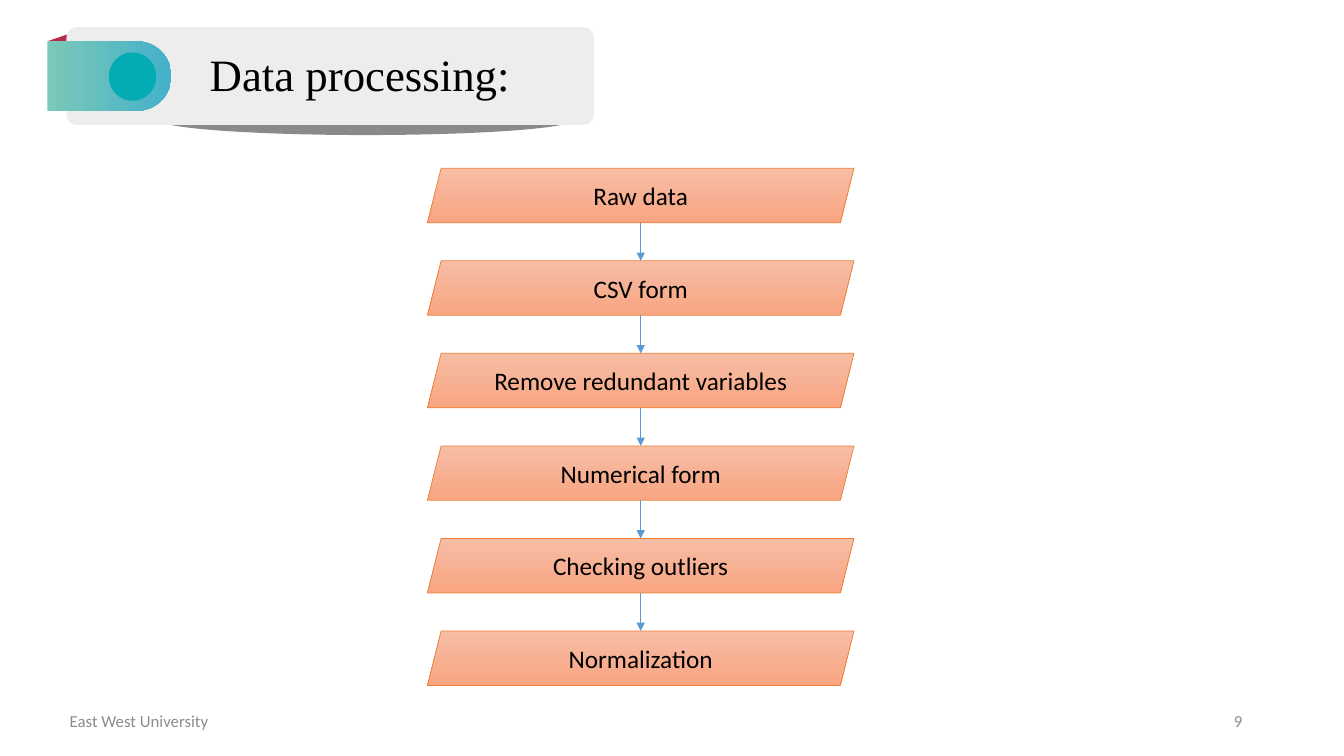
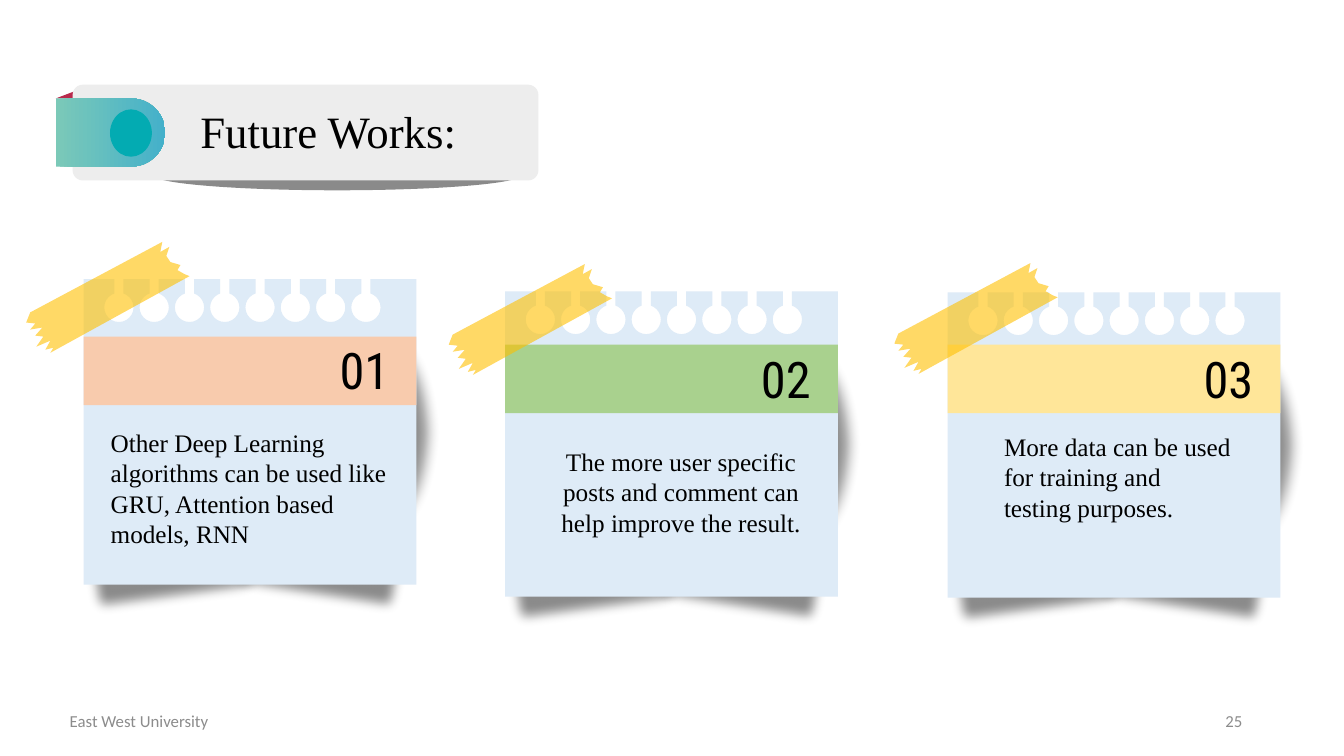
import math

import pptx
import pptx.dml.color
import pptx.enum.shapes
import pptx.enum.text
import pptx.oxml
import pptx.oxml.ns
import pptx.util

Inches = pptx.util.Inches
SHAPE = pptx.enum.shapes.MSO_SHAPE
ALIGN = pptx.enum.text.PP_ALIGN
ANCHOR = pptx.enum.text.MSO_ANCHOR

INK, PLATE, RIBBON, DOT = "000000", "EDEDED", "B82A4C", "03ABB2"
TAB_BLEND = ("7BC9B8", "44B0CA")
STEP_BLEND, STEP_EDGE, ARROW = ("F7BDA5", "F8A582"), "ED7D31", "5B9BD5"
NOTE, TAPE, FOOTER = "DEEBF7", "FFC000", "8C8C8C"
SHADOW_OPACITY, TAPE_OPACITY = 46, 60
HOLES, HOLE_PITCH, HOLE_RADIUS, HOLE_DEPTH, HALF_NECK = 8, 0.35, 0.145, 0.28, 0.045

FORMATS = {
    "title": {"name": "Times New Roman", "size": pptx.util.Pt(32), "bold": False},
    "step": {"name": "Calibri", "size": pptx.util.Pt(18)},
    "number": {"name": "Roboto Condensed", "size": pptx.util.Pt(36)},
    "body": {"name": "Times New Roman", "size": pptx.util.Pt(18)},
    "footer": {"name": "Calibri", "size": pptx.util.Pt(12)},
}

STEPS = ["Raw data", "CSV form", "Remove redundant variables",
         "Numerical form", "Checking outliers", "Normalization"]

NOTES = [
    {"at": (0.83, 2.77), "band_top": 0.57, "band": "F8CBAD", "number": "01",
     "tape": (-0.57, -0.37), "body": (0.17, 1.42, 3.04, 1.31), "align": ALIGN.LEFT,
     "text": "Other Deep Learning algorithms can be used like GRU, "
             "Attention based models, RNN"},
    {"at": (5.01, 2.89), "band_top": 0.53, "band": "A9D18E", "number": "02",
     "tape": (-0.56, -0.27), "body": (0.33, 1.49, 2.83, 1.01), "align": ALIGN.CENTER,
     "text": "The more user specific\nposts and comment can help improve the result."},
    {"at": (9.4, 2.9), "band_top": 0.52, "band": "FFE699", "number": "03",
     "tape": (-0.53, -0.29), "body": (0.46, 1.33, 2.47, 1.31), "align": ALIGN.LEFT,
     "text": "More data can be used for training and testing purposes."},
]

TAPE_OUTLINE = [
    (0.04, 0.7), (1.35, 0), (1.33, 0.1), (1.42, 0.05), (1.39, 0.14), (1.43, 0.2),
    (1.53, 0.23), (1.5, 0.28), (1.57, 0.32), (1.62, 0.34), (0.24, 1.1), (0.27, 1.05),
    (0.19, 1.07), (0.24, 0.98), (0.1, 1.04), (0.17, 0.94), (0.09, 0.93), (0.16, 0.85),
    (0.04, 0.87), (0.09, 0.81), (0, 0.8),
]


def color(hex_value):
    return pptx.dml.color.RGBColor.from_string(hex_value)


def add_xml(parent, tag, **attributes):
    child = parent.makeelement(pptx.oxml.ns.qn(tag), attributes)
    parent.append(child)
    return child


def paint(shape, fill, opacity=100, angle=0, edge=None, soft=0):
    shape.shadow.inherit = False
    if isinstance(fill, tuple):
        shape.fill.gradient()
        shape.fill.gradient_angle = angle
        for stop, shade in zip(shape.fill.gradient_stops, fill):
            stop.color.rgb = color(shade)
    else:
        shape.fill.solid()
        shape.fill.fore_color.rgb = color(fill)
    if edge:
        shape.line.color.rgb = color(edge)
        shape.line.width = pptx.util.Pt(0.5)
    else:
        shape.line.fill.background()
    properties = shape.element.spPr
    if opacity < 100:
        solid = properties.find(pptx.oxml.ns.qn("a:solidFill"))
        add_xml(solid[0], "a:alpha", val=str(opacity * 1000))
    if soft:
        effects = properties.find(pptx.oxml.ns.qn("a:effectLst"))
        add_xml(effects, "a:softEdge", rad=str(Inches(soft)))
    return shape


def add_part(slide, kind, box, fill, rotation=0, **look):
    part = slide.shapes.add_shape(kind, *map(Inches, box))
    part.rotation = rotation
    return paint(part, fill, **look)


def add_outline(slide, left, top, points, fill, opacity=100):
    corners = [(Inches(left + x), Inches(top + y)) for x, y in points]
    builder = slide.shapes.build_freeform(*corners[0])
    builder.add_line_segments(corners[1:], close=True)
    return paint(builder.convert_to_shape(), fill, opacity)


def write(holder, text, style, align, anchor=ANCHOR.TOP, ink=INK):
    frame = holder.text_frame
    frame_format = {"word_wrap": True, "vertical_anchor": anchor,
                    "auto_size": pptx.enum.text.MSO_AUTO_SIZE.NONE,
                    "margin_left": Inches(0.1), "margin_right": Inches(0.1),
                    "margin_top": Inches(0.05), "margin_bottom": Inches(0.05)}
    for name, value in frame_format.items():
        setattr(frame, name, value)
    paragraph = frame.paragraphs[0]
    paragraph.text = text
    paragraph.alignment = align
    for run in paragraph.runs:
        for name, value in FORMATS[style].items():
            setattr(run.font, name, value)
        run.font.color.rgb = color(ink)


def add_label(slide, box, text, style, align, **look):
    write(slide.shapes.add_textbox(*map(Inches, box)), text, style, align, **look)


def add_header(slide, text, left, top, width, height):
    across, down = width / 5.23, height / 0.97

    def place(x, y, w, h):
        return left + x * across, top + y * down, w * across, h * down

    add_part(slide, SHAPE.OVAL, place(0.9, 0.76, 4.14, 0.31), INK,
             opacity=SHADOW_OPACITY)
    ribbon = add_part(slide, SHAPE.RIGHT_TRIANGLE, place(-0.19, 0.04, 0.29, 0.1), RIBBON)
    ribbon.element.spPr.xfrm.set("flipH", "1")
    plate = add_part(slide, SHAPE.ROUNDED_RECTANGLE, (left, top, width, height), PLATE)
    plate.adjustments[0] = 0.107
    x, y, w, h = place(-0.19, 0.14, 1.23, 0.69)
    tab = add_part(slide, SHAPE.ROUND_2_SAME_RECTANGLE,
                   (x + (w - h) / 2, y + (h - w) / 2, h, w), TAB_BLEND,
                   rotation=90, angle=90)
    tab.adjustments[0] = 0.5
    add_part(slide, SHAPE.OVAL, place(0.42, 0.25, 0.47, 0.48), DOT)
    title = slide.shapes.title
    title.left, title.top, title.width, title.height = map(
        Inches, place(1.32, 0.14, 3.74, 0.64))
    write(title, text, "title", ALIGN.LEFT)
    title.element.getparent().append(title.element)


def add_footer(slide, number):
    for box, text, align in [((0.58, 6.95, 1.6, 0.4), "East West University", ALIGN.CENTER),
                             ((9.42, 6.95, 3, 0.4), number, ALIGN.RIGHT)]:
        add_label(slide, box, text, "footer", align, anchor=ANCHOR.MIDDLE, ink=FOOTER)


def add_arrow(slide, x, start, end):
    arrow = slide.shapes.add_connector(
        pptx.enum.shapes.MSO_CONNECTOR.STRAIGHT, *map(Inches, (x, start, x, end)))
    arrow.line.color.rgb = color(ARROW)
    arrow.line.width = pptx.util.Pt(0.5)
    properties = arrow.element.spPr
    add_xml(properties.find(pptx.oxml.ns.qn("a:ln")), "a:tailEnd", type="triangle")
    add_xml(properties, "a:effectLst")


def add_flow(slide, left, top, width, height):
    step_height = 0.54
    pitch = (height - step_height) / (len(STEPS) - 1)
    for index, text in enumerate(STEPS):
        y = top + index * pitch
        step = add_part(slide, SHAPE.PARALLELOGRAM, (left, y, width, step_height),
                        STEP_BLEND, angle=270, edge=STEP_EDGE)
        write(step, text, "step", ALIGN.CENTER, anchor=ANCHOR.MIDDLE)
        if index:
            add_arrow(slide, left + width / 2, y - pitch + step_height, y)


def add_punched_sheet(slide, left, top, width, height):
    opening = math.asin(HALF_NECK / HOLE_RADIUS)
    neck_depth = HOLE_DEPTH - HOLE_RADIUS * math.cos(opening)
    points = [(0, 0)]
    for hole in range(1, HOLES + 1):
        start, end = hole * HOLE_PITCH - HALF_NECK, hole * HOLE_PITCH + HALF_NECK
        points += [(start, 0), (start, neck_depth), (end, neck_depth), (end, 0)]
    points += [(width, 0), (width, height), (0, height)]
    sheet = add_outline(slide, left, top, points, NOTE)
    edges = list(sheet.element.iter(pptx.oxml.ns.qn("a:lnTo")))
    degrees = math.degrees(opening)
    radius = str(Inches(HOLE_RADIUS))
    for edge in edges[2:4 * HOLES:4]:
        arc = add_xml(edge.getparent(), "a:arcTo", wR=radius, hR=radius,
                      stAng=str(round((270 - degrees) * 60000)),
                      swAng=str(round((2 * degrees - 360) * 60000)))
        edge.getparent().replace(edge, arc)


def add_note(slide, note):
    left, top = note["at"]
    width, height = 3.3, 3.03
    for kind, x, y, w, h, rotation in [(SHAPE.OVAL, 2.16, 1.14, 2.01, 0.76, 90),
                                       (SHAPE.RECTANGLE, 1.35, 2.53, 1.94, 0.79, 8.7),
                                       (SHAPE.RECTANGLE, -0.08, 2.55, 1.94, 0.79, 352.5)]:
        add_part(slide, kind, (left + x, top + y, w, h), INK, rotation=rotation,
                 opacity=SHADOW_OPACITY, soft=0.14)
    add_punched_sheet(slide, left, top, width, height)
    band_top = top + note["band_top"]
    add_part(slide, SHAPE.RECTANGLE, (left, band_top, width, 0.68), note["band"])
    add_label(slide, (left + 2.06, band_top - 0.02, 1.07, 0.76),
              note["number"], "number", ALIGN.RIGHT)
    x, y, w, h = note["body"]
    add_label(slide, (left + x, top + y, w, h), note["text"], "body", note["align"])
    tape_x, tape_y = note["tape"]
    add_outline(slide, left + tape_x, top + tape_y, TAPE_OUTLINE, TAPE, TAPE_OPACITY)


def build_processing(deck):
    slide = deck.slides.add_slide(deck.slide_layouts[5])
    add_header(slide, "Data processing:", 0.66, 0.27, 5.23, 0.97)
    add_flow(slide, 4.24, 1.67, 4.23, 5.13)
    add_footer(slide, "9")


def build_future_works(deck):
    slide = deck.slides.add_slide(deck.slide_layouts[5])
    add_header(slide, "Future Works:", 0.72, 0.84, 4.62, 0.95)
    for note in NOTES:
        add_note(slide, note)
    add_footer(slide, "25")


def main():
    deck = pptx.Presentation()
    deck.slide_width, deck.slide_height = Inches(13.33), Inches(7.5)
    build_processing(deck)
    build_future_works(deck)
    deck.save("out.pptx")


if __name__ == "__main__":
    main()
